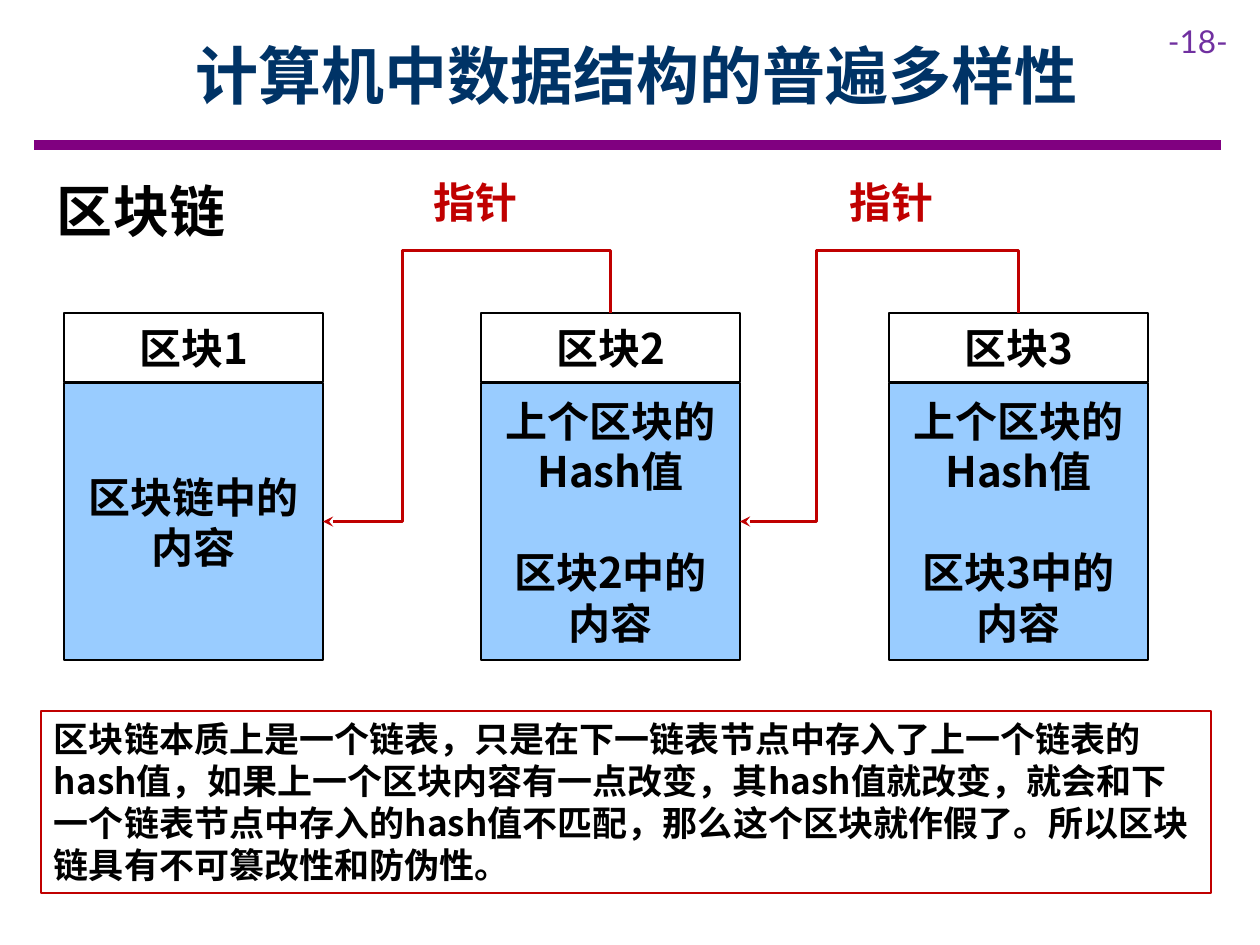
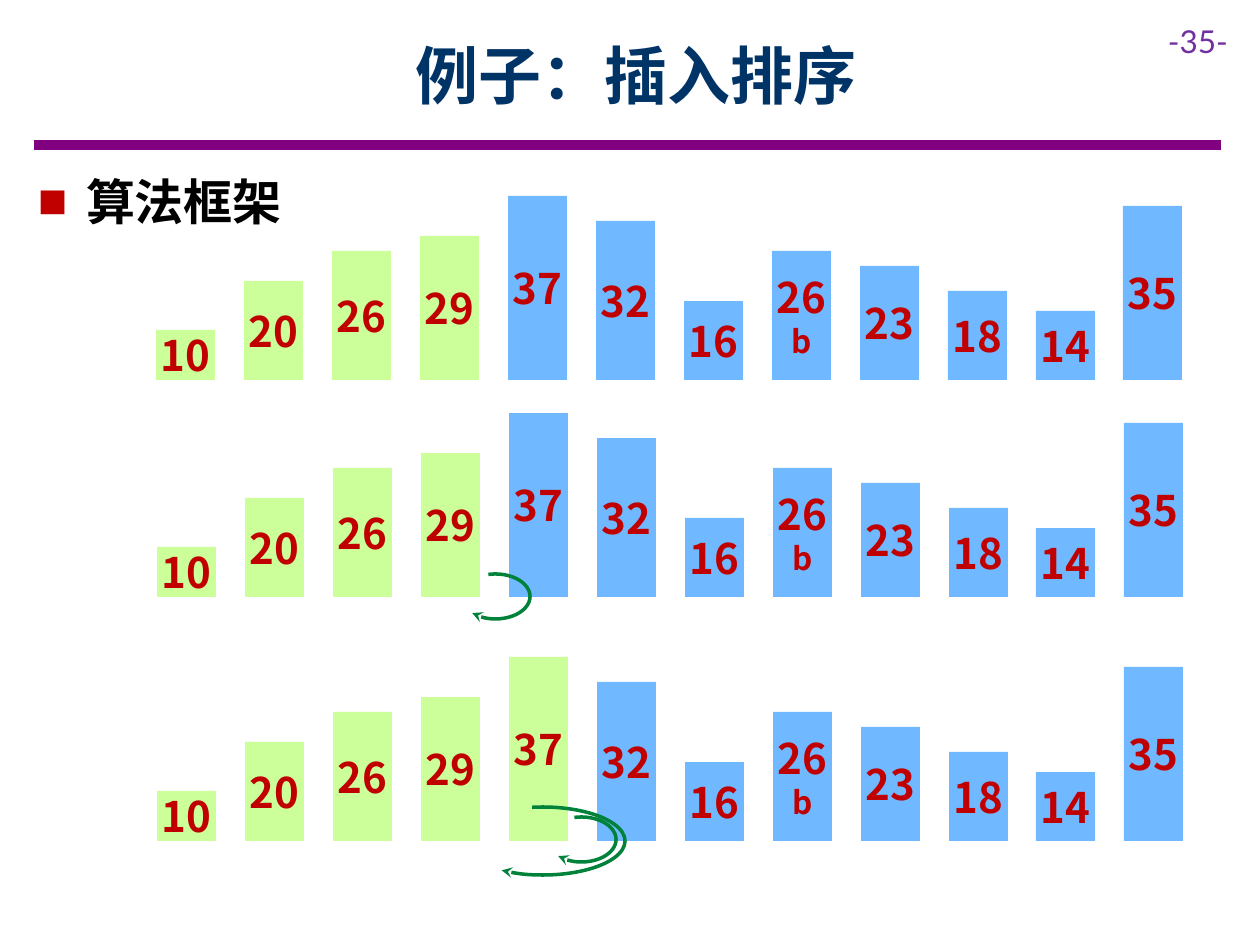
import pptx
import pptx.util
import pptx.dml.color
import pptx.enum.shapes
import pptx.enum.text
import pptx.oxml
import pptx.oxml.ns

PX = 914400 / 126
COLORS = {
    "title": "003366", "band": "800080", "number": "7030A0", "text": "000000",
    "red": "C00000", "paper": "FFFFFF", "block": "99CCFF",
    "sorted": "CCFF99", "unsorted": "70B8FF", "move": "00823B",
}
SANS, LATIN = "Noto Sans CJK SC", "Lato"
SHAPES = pptx.enum.shapes.MSO_SHAPE
LINES = pptx.enum.shapes.MSO_CONNECTOR
LEFT, CENTER = pptx.enum.text.PP_ALIGN.LEFT, pptx.enum.text.PP_ALIGN.CENTER
TOP, MIDDLE = pptx.enum.text.MSO_ANCHOR.TOP, pptx.enum.text.MSO_ANCHOR.MIDDLE


def emu(px):
    return pptx.util.Emu(round(px * PX))


def rgb(name):
    return pptx.dml.color.RGBColor.from_string(COLORS[name])


def add_xml(parent, markup):
    """Append the DrawingML elements in markup."""
    holder = pptx.oxml.parse_xml(f"<a:holder {pptx.oxml.ns.nsdecls('a')}>{markup}</a:holder>")
    for element in list(holder):
        parent.append(element)


class Deck:
    def __init__(self):
        self.prs = pptx.Presentation()
        self.prs.slide_width, self.prs.slide_height = emu(1260), emu(945)
        self.slide = None

    def new_slide(self, title, number):
        """Start a slide with its title, page number and band."""
        self.slide = self.prs.slides.add_slide(self.prs.slide_layouts[6])
        band = self.connector(LINES.STRAIGHT, (34, 145), (1221, 145))
        self.stroke(band, "band", 6)
        self.label((1155, 16, 105, 50), f"-{number}-", 18, "number", font=LATIN, bold=False)
        self.label((113, 11, 1047, 126), title, 36, "title", align=CENTER, anchor=MIDDLE)

    def stroke(self, item, color, width, arrow=False):
        item.line.color.rgb = rgb(color)
        item.line.width = pptx.util.Pt(width)
        if arrow:
            add_xml(item._element.xpath(".//a:ln")[0], '<a:tailEnd type="stealth"/>')

    def set_text(self, frame, paragraphs, sizes, color, align=LEFT, anchor=TOP,
                 font=SANS, bold=True, gap=0, margins=(13, 6)):
        frame.word_wrap = True
        frame.vertical_anchor = anchor
        frame.margin_left = frame.margin_right = emu(margins[0])
        frame.margin_top = frame.margin_bottom = emu(margins[1])
        frame.text = "\n".join(paragraphs)
        for i, (paragraph, size) in enumerate(zip(frame.paragraphs, sizes)):
            paragraph.alignment = align
            if i and gap:
                paragraph.space_before = pptx.util.Pt(gap)
            for run in paragraph.runs:
                run.font.size = pptx.util.Pt(size)
                run.font.bold = bold
                run.font.name = font
                run.font.color.rgb = rgb(color)
                add_xml(run.font._element, f'<a:ea typeface="{font}"/>')

    def label(self, place, text, size, color, **style):
        box = self.slide.shapes.add_textbox(*map(emu, place))
        self.set_text(box.text_frame, [text], [size], color, **style)
        return box

    def bullet(self, place, text, size):
        box = self.label(place, text, size, "text")
        props = box.text_frame.paragraphs[0]._p.get_or_add_pPr()
        props.set("marL", str(emu(48)))
        props.set("indent", str(emu(-48)))
        add_xml(props, f'<a:buClr><a:srgbClr val="{COLORS["red"]}"/></a:buClr>'
                       '<a:buFont typeface="Arial"/><a:buChar char="■"/>')

    def shape(self, kind, place, fill=None, line=None, width=1.5, arrow=False):
        item = self.slide.shapes.add_shape(kind, *map(emu, place))
        item.shadow.inherit = False
        if fill:
            item.fill.solid()
            item.fill.fore_color.rgb = rgb(fill)
        else:
            item.fill.background()
        if line:
            self.stroke(item, line, width, arrow)
        else:
            item.line.fill.background()
        return item

    def box(self, place, paragraphs, sizes, color, fill=None, line=None, width=1.5, **style):
        item = self.shape(SHAPES.RECTANGLE, place, fill, line, width)
        self.set_text(item.text_frame, paragraphs, sizes, color, **style)
        return item

    def connector(self, kind, start, end):
        item = self.slide.shapes.add_connector(kind, *map(emu, start + end))
        add_xml(item._element.spPr, "<a:effectLst/>")
        return item

    def pointer(self, header, body):
        """Elbow arrow from the top of header, over and down to the right side of body."""
        x1, y1 = header.left + header.width // 2, header.top
        x2, y2 = body.left + body.width, body.top + body.height // 2
        item = self.connector(LINES.ELBOW, (0, 0), (1, 1))
        item.begin_connect(header, 0)
        item.end_connect(body, 3)
        # The frame is stored unturned, around the same centre
        item.width, item.height = y2 - y1, x1 - x2
        item.left = (x1 + x2 - item.width) // 2
        item.top = (y1 + y2 - item.height) // 2
        frame = item._element.xpath(".//a:xfrm")[0]
        for key, value in (("rot", "16200000"), ("flipH", "1"), ("flipV", "1")):
            frame.set(key, value)
        outline = item._element.xpath(".//a:prstGeom")[0]
        outline.set("prst", "bentConnector4")
        guides = outline.xpath("./a:avLst")[0]
        for name, value in (("adj1", -30200), ("adj2", 72400)):
            add_xml(guides, f'<a:gd name="{name}" fmla="val {value}"/>')
        self.stroke(item, "red", 1.75, arrow=True)

    def arc(self, place):
        item = self.shape(SHAPES.ARC, place, line="move", width=2, arrow=True)
        item.rotation = 90
        for i, degrees in enumerate((162, 54.6)):
            item.adjustments[i] = degrees * 0.6


def block_chain(deck):
    deck.new_slide("计算机中数据结构的普遍多样性", 18)
    deck.box((44, 170, 198, 81), ["区块链"], [32], "text", fill="paper")

    # Blocks: a header above its content
    style = dict(line="text", align=CENTER, anchor=MIDDLE, margins=(13, 13), gap=29)
    blocks = []
    for number, left in enumerate((64, 481, 889), 1):
        content = (["区块链中的内容"] if number == 1
                   else ["上个区块的Hash值", f"区块{number}中的内容"])
        header = deck.box((left, 313, 259, 69), [f"区块{number}"], [24], "text", **style)
        body = deck.box((left, 383, 259, 277), content, [24, 24], "text", fill="block", **style)
        blocks.append((header, body))

    # Pointers back to the block before
    for (_, previous), (header, _), left in zip(blocks, blocks[1:], (412, 828)):
        deck.pointer(header, previous)
        deck.label((left, 171, 128, 63), "指针", 24, "red", align=CENTER)

    deck.box((41, 711, 1170, 182), [
        "区块链本质上是一个链表，只是在下一链表节点中存入了上一个链表的hash值，"
        "如果上一个区块内容有一点改变，其hash值就改变，就会和下一个链表节点中存入的"
        "hash值不匹配，那么这个区块就作假了。所以区块链具有不可篡改性和防伪性。"],
        [20], "text", fill="paper", line="red", width=0.75)


def insertion_sort(deck):
    deck.new_slide("例子：插入排序", 35)
    deck.bullet((25, 165, 1191, 72), "算法框架", 28)

    # Rows of bars, as tall as their values: left, base line, sorted count
    values = ["10", "20", "26", "29", "37", "32", "16", "26b", "23", "18", "14", "35"]
    for left, base, sorted_count in ((156, 380, 4), (157, 597, 4), (157, 841, 5)):
        for i, value in enumerate(values):
            digits, mark = value[:2], value[2:]
            height = round(int(digits) * 4.96)
            deck.box((round(left + 87.95 * i), base - height, 59, height),
                     [digits, mark] if mark else [digits], [24, 18], "red",
                     fill="sorted" if i < sorted_count else "unsorted",
                     align=CENTER, anchor=MIDDLE, margins=(0, 13))

    # Moves of the compared elements
    for place in ((473, 562, 45, 69), (559, 805, 45, 69), (509, 759, 68, 164)):
        deck.arc(place)


def main():
    deck = Deck()
    block_chain(deck)
    insertion_sort(deck)
    deck.prs.save("out.pptx")


if __name__ == "__main__":
    main()
